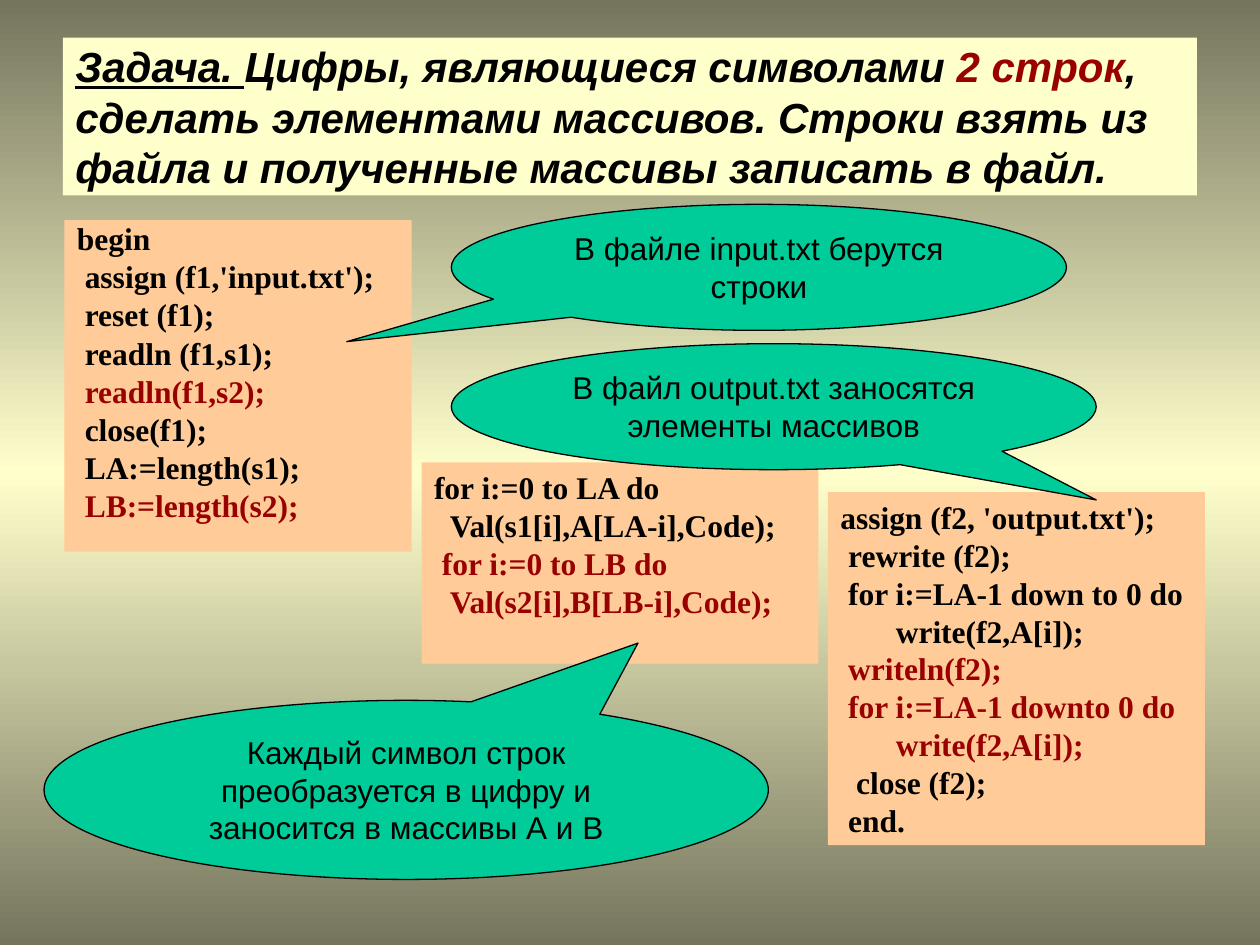
import copy
from dataclasses import dataclass

import pptx
import pptx.dml.color
import pptx.enum.shapes
import pptx.enum.text
import pptx.oxml.ns
import pptx.util

Cm = pptx.util.Cm
Pt = pptx.util.Pt
SHAPE = pptx.enum.shapes.MSO_SHAPE
ALIGN = pptx.enum.text.PP_ALIGN
ANCHOR = pptx.enum.text.MSO_ANCHOR


@dataclass(frozen=True)
class Theme:
    edge: str = "75755E"
    cream: str = "FFFFCC"
    peach: str = "FFCC99"
    green: str = "00CC99"
    ink: str = "000000"
    accent: str = "990000"
    sans: str = "Arial"
    serif: str = "Times New Roman"
    title_size: int = 24
    text_size: int = 18
    space_width: float = 0.16


class Builder:
    """Draw the elements of the slide in one theme."""

    def __init__(self, prs, theme):
        self.theme = theme
        self.s = prs.slides.add_slide(prs.slide_layouts[6])

    def rgb(self, value):
        return pptx.dml.color.RGBColor.from_string(value)

    def background(self):
        t = self.theme
        fill = self.s.background.fill
        fill.gradient()
        fill.gradient_angle = 90
        stops = self.s.element.find(".//" + pptx.oxml.ns.qn("a:gsLst"))
        stops.append(copy.deepcopy(stops[0]))
        for stop, position, color in zip(
            fill.gradient_stops, (0, 0.5, 1), (t.edge, t.cream, t.edge)
        ):
            stop.position = position
            stop.color.rgb = self.rgb(color)

    def shape(self, kind, box, fill, anchor=ANCHOR.TOP):
        sp = self.s.shapes.add_shape(kind, *(Cm(v) for v in box))
        sp.shadow.inherit = False
        sp.fill.solid()
        sp.fill.fore_color.rgb = self.rgb(fill)
        sp.line.fill.background()
        tf = sp.text_frame
        tf.word_wrap = True
        tf.vertical_anchor = anchor
        return sp

    def style(self, p, font, size, color, bold=False, italic=False):
        for r in p.runs:
            r.font.name = font
            r.font.size = Pt(size)
            r.font.bold = bold
            r.font.italic = italic
            r.font.color.rgb = self.rgb(color)

    def title(self, box, parts):
        t = self.theme
        sp = self.shape(SHAPE.RECTANGLE, box, t.cream, ANCHOR.MIDDLE)
        p = sp.text_frame.paragraphs[0]
        p.alignment = ALIGN.LEFT
        for part in parts:
            p.add_run().text = part
        self.style(p, t.sans, t.title_size, t.ink, bold=True, italic=True)
        p.runs[0].font.underline = True
        p.runs[2].font.color.rgb = self.rgb(t.accent)

    def code(self, box, lines, marked, line_spacing=None, space_before=0):
        t = self.theme
        tf = self.shape(SHAPE.RECTANGLE, box, t.peach).text_frame
        tf.text = "\n".join(text for _, text in lines)
        for i, (p, (spaces, _)) in enumerate(zip(tf.paragraphs, lines)):
            p.alignment = ALIGN.LEFT
            p.line_spacing = line_spacing
            p.space_before = Pt(space_before)
            p._p.get_or_add_pPr().set("marL", str(Cm(spaces * t.space_width)))
            color = t.accent if i in marked else t.ink
            self.style(p, t.serif, t.text_size, color, bold=True)

    def callout(self, box, tip, text):
        t = self.theme
        sp = self.shape(SHAPE.OVAL_CALLOUT, box, t.green)
        sp.adjustments[0], sp.adjustments[1] = tip
        sp.line.color.rgb = self.rgb(t.ink)
        sp.line.width = Pt(0.75)
        sp.text_frame.text = text
        p = sp.text_frame.paragraphs[0]
        p.alignment = ALIGN.CENTER
        p.space_before = Pt(11.2)
        self.style(p, t.sans, t.text_size, t.ink)


def main():
    prs = pptx.Presentation()
    prs.slide_width, prs.slide_height = Cm(25.4), Cm(19.05)
    b = Builder(prs, Theme())
    b.background()
    b.title((1.27, 0.76, 22.86, 3.18), (
        "Задача. ",
        "Цифры, являющиеся символами ",
        "2 строк",
        ", сделать элементами массивов. Строки взять из файла "
        "и полученные массивы записать в файл.",
    ))
    b.code((1.3, 4.44, 7, 6.68), (
        (0, "begin"),
        (1, "assign (f1,'input.txt');"),
        (1, "reset (f1);"),
        (1, "readln (f1,s1);"),
        (1, "readln(f1,s2);"),
        (1, "close(f1);"),
        (1, "LA:=length(s1);"),
        (1, "LB:=length(s2);"),
    ), marked=(4, 7), line_spacing=0.8, space_before=4.5)
    b.code((8.5, 9.32, 8, 4.06), (
        (0, "for i:=0 to LA do"),
        (2, "Val(s1[i],A[LA-i],Code);"),
        (1, "for i:=0 to LB do"),
        (2, "Val(s2[i],B[LB-i],Code);"),
    ), marked=(2, 3))
    b.code((16.69, 9.92, 7.6, 7.12), (
        (0, "assign (f2, 'output.txt');"),
        (1, "rewrite (f2);"),
        (1, "for i:=LA-1 down to 0 do"),
        (7, "write(f2,A[i]);"),
        (1, "writeln(f2);"),
        (1, "for i:=LA-1 downto 0 do"),
        (7, "write(f2,A[i]);"),
        (2, "close (f2);"),
        (1, "end."),
    ), marked=(4, 5, 6))
    b.callout((9.1, 4.12, 12.4, 2.54), (-0.67, 0.59),
              "В файле input.txt берутся строки")
    b.callout((0.89, 14.12, 14.6, 3.61), (0.32, -0.82),
              "Каждый символ строк преобразуется в цифру "
              "и заносится в массивы А и В")
    b.callout((9.1, 6.93, 13, 2.54), (0.5, 0.74),
              "В файл output.txt заносятся элементы массивов")
    prs.save("out.pptx")


if __name__ == "__main__":
    main()
